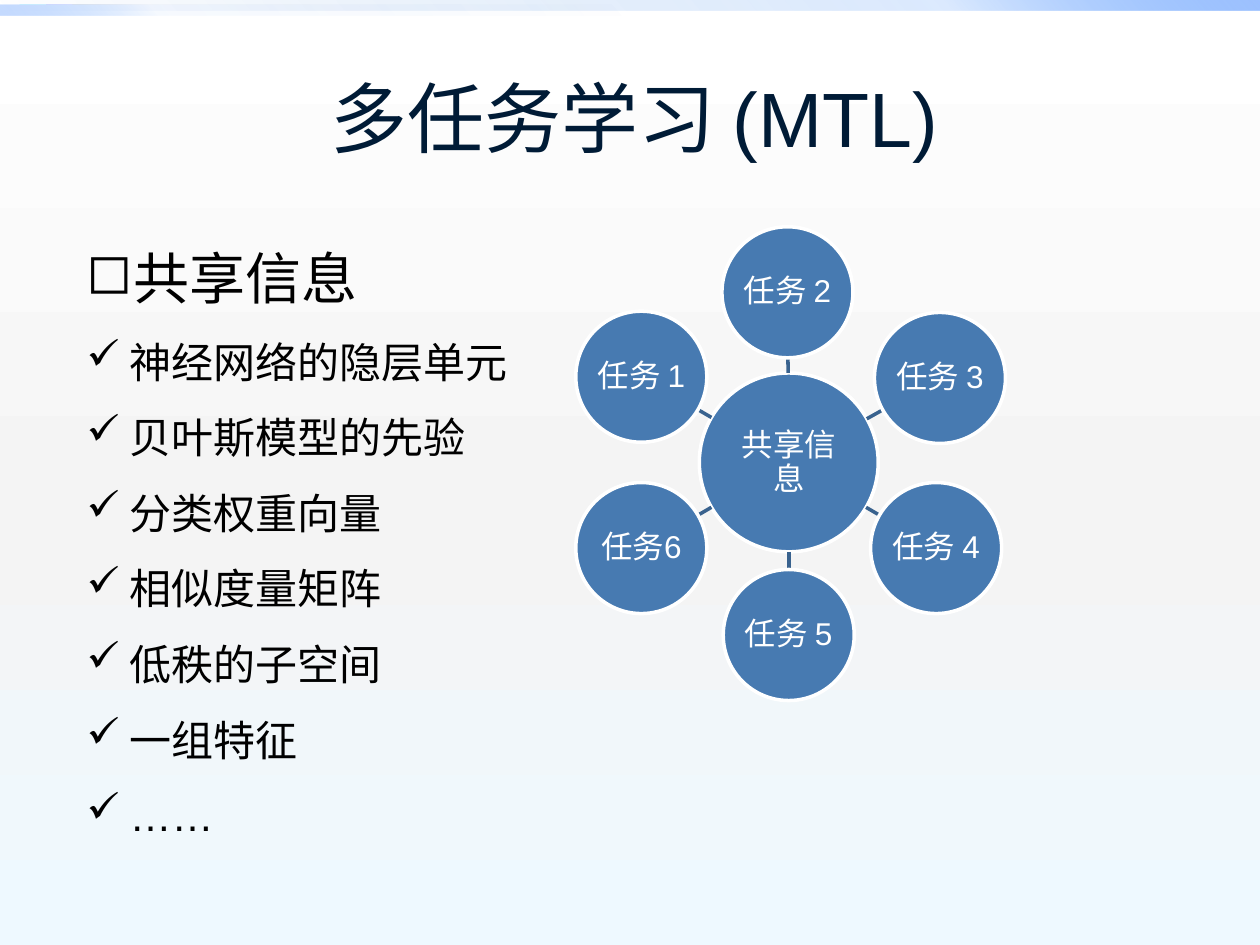
import math

import lxml.etree
import pptx
import pptx.dml.color
import pptx.enum.shapes
import pptx.enum.text
import pptx.oxml
import pptx.oxml.ns
import pptx.util

Inches = pptx.util.Inches
Pt = pptx.util.Pt
RGBColor = pptx.dml.color.RGBColor
Align = pptx.enum.text.PP_ALIGN
Anchor = pptx.enum.text.MSO_ANCHOR
qn = pptx.oxml.ns.qn

NAVY = RGBColor(0x00, 0x1B, 0x36)
BLACK = RGBColor(0x00, 0x00, 0x00)
WHITE = RGBColor(0xFF, 0xFF, 0xFF)
CIRCLE_BLUE = RGBColor(0x47, 0x7A, 0xB1)
SPOKE_BLUE = RGBColor(0x39, 0x62, 0x8E)
DEEP_BLUE = RGBColor(0x00, 0x58, 0xB7)
BRIGHT_BLUE = RGBColor(0x4F, 0x95, 0xFF)
PALE_BLUE = RGBColor(0x9E, 0xC2, 0xFF)
LIGHT_GRAY = RGBColor(0xF4, 0xF4, 0xF4)
ICE_BLUE = RGBColor(0xEE, 0xF9, 0xFF)

LATIN_FONT = "Arial"
CHINESE_FONT = "Noto Sans CJK SC"

HUB_CENTER = (6.26, 3.67)
HUB_RADIUS = 0.71
TASK_RADIUS = 0.52
TASKS = [
    ("任务 2", (6.25, 2.32)),
    ("任务 3", (7.46, 3.0)),
    ("任务 4", (7.43, 4.35)),
    ("任务 5", (6.26, 5.04)),
    ("任务6", (5.09, 4.35)),
    ("任务 1", (5.09, 2.99)),
]
SHARED_ITEMS = [
    "神经网络的隐层单元",
    "贝叶斯模型的先验",
    "分类权重向量",
    "相似度量矩阵",
    "低秩的子空间",
    "一组特征",
]


def set_gradient(holder, stops, angle):
    gradient = lxml.etree.Element(qn("a:gradFill"), rotWithShape="1")
    stop_list = lxml.etree.SubElement(gradient, qn("a:gsLst"))
    for position, color, opacity in stops:
        stop = lxml.etree.SubElement(stop_list, qn("a:gs"), pos=str(position * 1000))
        tint = lxml.etree.SubElement(stop, qn("a:srgbClr"), val=str(color))
        if opacity < 100:
            lxml.etree.SubElement(tint, qn("a:alpha"), val=str(opacity * 1000))
    lxml.etree.SubElement(gradient, qn("a:lin"), ang=str(angle * 60000), scaled="0")
    holder.replace(holder.find(qn("a:noFill")), gradient)


def set_background(page):
    page.background.fill.background()
    holder = page._element.find(".//" + qn("p:bgPr"))
    set_gradient(holder, [(0, WHITE, 100), (55, LIGHT_GRAY, 100), (100, ICE_BLUE, 100)], 90)


def add_bar(page, top, width, opacities, angle):
    bar = page.shapes.add_shape(
        pptx.enum.shapes.MSO_SHAPE.RECTANGLE, 0, Inches(top), Inches(width), Inches(0.08))
    bar.shadow.inherit = False
    bar.line.fill.background()
    bar.fill.background()
    colors = (DEEP_BLUE, BRIGHT_BLUE, PALE_BLUE)
    set_gradient(bar._element.spPr, list(zip((0, 75, 100), colors, opacities)), angle)


def write_text(para, text, *, size, color, align=Align.LEFT, spacing=None,
               bullet=None, indent=0, east_font=CHINESE_FONT):
    para.alignment = align
    if spacing:
        para.line_spacing = Pt(spacing)
    if bullet:
        properties = para._p.get_or_add_pPr()
        properties.set("marL", str(Inches(indent)))
        properties.set("indent", str(-Inches(indent)))
        lxml.etree.SubElement(properties, qn("a:buChar"), char=bullet)
    span = para.add_run()
    span.text = text
    span.font.size = Pt(size)
    span.font.color.rgb = color
    span.font.name = LATIN_FONT
    lxml.etree.SubElement(span._r.get_or_add_rPr(), qn("a:ea"), typeface=east_font)


def add_text_box(page, left, top, width, height, anchor):
    box = page.shapes.add_textbox(Inches(left), Inches(top), Inches(width), Inches(height))
    box.text_frame.word_wrap = True
    box.text_frame.vertical_anchor = anchor
    return box.text_frame


def add_circle(page, text, center, radius):
    x, y = center
    circle = page.shapes.add_shape(
        pptx.enum.shapes.MSO_SHAPE.OVAL, Inches(x - radius), Inches(y - radius),
        Inches(2 * radius), Inches(2 * radius))
    circle.shadow.inherit = False
    circle.fill.solid()
    circle.fill.fore_color.rgb = CIRCLE_BLUE
    circle.line.color.rgb = WHITE
    circle.line.width = Pt(2)
    frame = circle.text_frame
    frame.word_wrap = True
    frame.vertical_anchor = Anchor.MIDDLE
    frame.margin_left = frame.margin_right = Inches(0.01)
    frame.margin_top = frame.margin_bottom = Inches(0.01)
    write_text(frame.paragraphs[0], text, size=18, color=WHITE,
               align=Align.CENTER, spacing=19.4)


def add_spoke(page, center):
    hub_x, hub_y = HUB_CENTER
    x, y = center
    distance = math.dist(HUB_CENTER, center)
    step_x, step_y = (x - hub_x) / distance, (y - hub_y) / distance
    spoke = page.shapes.add_connector(
        pptx.enum.shapes.MSO_CONNECTOR.STRAIGHT,
        Inches(hub_x + HUB_RADIUS * step_x), Inches(hub_y + HUB_RADIUS * step_y),
        Inches(x - TASK_RADIUS * step_x), Inches(y - TASK_RADIUS * step_y))
    spoke.line.color.rgb = SPOKE_BLUE
    spoke.line.width = Pt(2)
    lxml.etree.SubElement(spoke._element.spPr, qn("a:effectLst"))


def add_shared_list(page):
    frame = add_text_box(page, 0.59, 1.64, 9.13, 5.07, Anchor.TOP)
    write_text(frame.paragraphs[0], "共享信息", size=32, color=BLACK,
               spacing=56, bullet="◻", indent=0.36)
    item_format = dict(size=24, color=BLACK, spacing=43.2, bullet="✓", indent=0.34)
    for item in SHARED_ITEMS:
        write_text(frame.add_paragraph(), item, **item_format)
    write_text(frame.add_paragraph(), "……", east_font=LATIN_FONT, **item_format)


def add_task_wheel(page):
    add_circle(page, "共享信息", HUB_CENTER, HUB_RADIUS)
    for name, center in TASKS:
        add_spoke(page, center)
        add_circle(page, name, center, TASK_RADIUS)


def add_title(page):
    frame = add_text_box(page, 0.43, 0.3, 9.21, 1.25, Anchor.MIDDLE)
    write_text(frame.paragraphs[0], "多任务学习 (MTL)", size=44, color=NAVY,
               align=Align.CENTER)


def main():
    deck = pptx.Presentation()
    deck.slide_width = Inches(10)
    deck.slide_height = Inches(7.5)
    page = deck.slides.add_slide(deck.slide_layouts[6])
    set_background(page)
    add_bar(page, 0, 10, (0, 20, 100), 315)
    add_bar(page, 0.04, 5, (0, 5, 60), 135)
    add_shared_list(page)
    add_task_wheel(page)
    add_title(page)
    deck.save("out.pptx")


if __name__ == "__main__":
    main()
